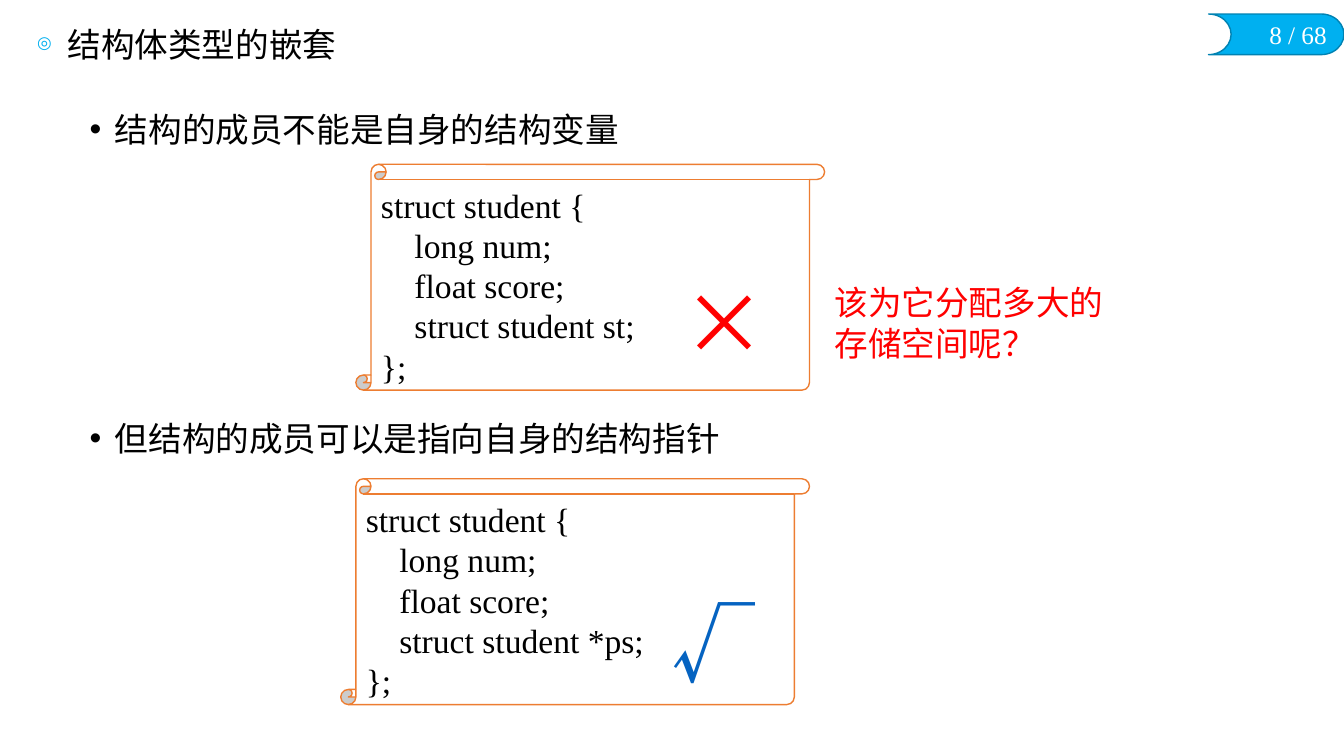
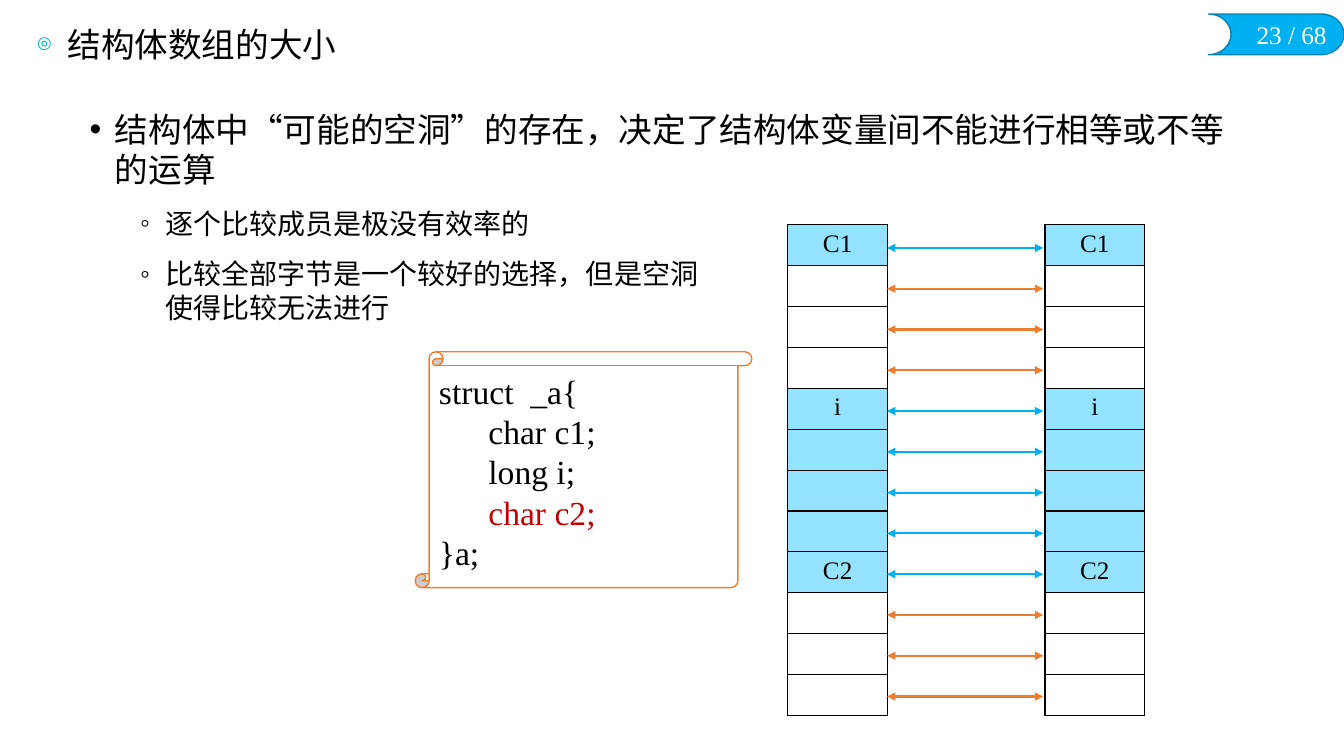
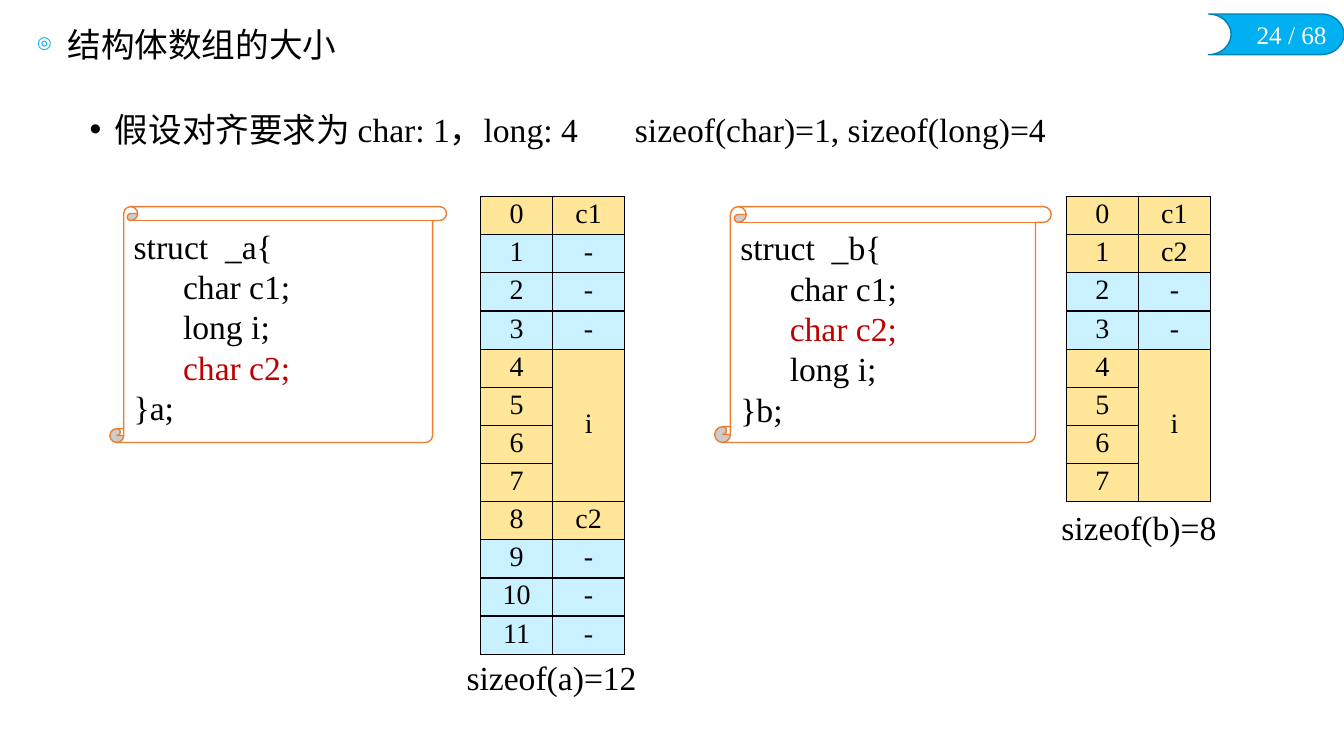
from lxml import etree
from pptx import Presentation
from pptx.dml.color import RGBColor
from pptx.enum import shapes, text
from pptx.oxml import ns
from pptx.util import Pt

# Palette and fonts
BLACK = RGBColor(0x00, 0x00, 0x00)
WHITE = RGBColor(0xFF, 0xFF, 0xFF)
RED = RGBColor(0xFF, 0x00, 0x00)
CRIMSON = RGBColor(0xC0, 0x00, 0x00)
BLUE = RGBColor(0x00, 0xB0, 0xF0)
NAVY = RGBColor(0x00, 0x82, 0xB2)
LINK = RGBColor(0x05, 0x63, 0xC1)
ORANGE = RGBColor(0xED, 0x7D, 0x31)
SKY = RGBColor(0x93, 0xE2, 0xFF)
PALE = RGBColor(0xC9, 0xF1, 0xFF)
SAND = RGBColor(0xFF, 0xE6, 0x99)
SERIF = "Times New Roman"
SANS = "Noto Sans CJK SC"
PAGES = 68
LEAD = 1.2  # line pitch per point of text size


# XML helpers
def sub(node, tag, **attrs):
    child = etree.SubElement(node, ns.qn(tag))
    for key, val in attrs.items():
        child.set(key, str(val))
    return child


def bullet(para, char, left, hang, color=None, size=None):
    props = para._p.get_or_add_pPr()
    props.set("marL", str(Pt(left)))
    props.set("indent", str(Pt(-hang)))
    if color is not None:
        sub(sub(props, "a:buClr"), "a:srgbClr", val=color)
    if size:
        sub(props, "a:buSzPct", val=size * 1000)
    sub(props, "a:buChar", char=char)


def style(para, size, color=BLACK, face=SERIF):
    font = para.font
    font.size, font.name, font.color.rgb = Pt(size), face, color
    sub(para._p.pPr.find(ns.qn("a:defRPr")), "a:ea", typeface=SANS)


# Shared frame: title, page badge
def set_up(layout):
    boxes = ((19.4, 16.6, 458.6, 33.1), (56.9, 74.2, 843.1, 437))
    for holder, box in zip(layout.placeholders, boxes):
        holder.left, holder.top, holder.width, holder.height = map(Pt, box)


def new_slide(deck, page, title):
    slide = deck.slides.add_slide(deck.slide_layouts[1])
    badge = slide.shapes.add_shape(
        shapes.MSO_SHAPE.FLOWCHART_STORED_DATA,
        Pt(863.3), Pt(10), Pt(96.7), Pt(29))
    badge.element.spPr.find(ns.qn("a:xfrm")).set("flipH", "1")
    paint(badge, BLUE, NAVY)
    label(slide, f"{page} / {PAGES}", (886.3, 10, 68.4, 29), 18, WHITE,
          align=text.PP_ALIGN.RIGHT)

    frame = slide.shapes.title.text_frame
    frame.auto_size = text.MSO_AUTO_SIZE.NONE
    frame.vertical_anchor = text.MSO_ANCHOR.MIDDLE
    para = frame.paragraphs[0]
    para.text = title
    para.alignment = text.PP_ALIGN.LEFT
    para.line_spacing = 0.9
    bullet(para, "◎", 21.6, 21.6, BLUE, 50)
    style(para, 24)
    return slide


# Element kinds
def paint(shape, fill, line):
    shape.shadow.inherit = False
    shape.fill.solid()
    shape.fill.fore_color.rgb = fill
    shape.line.color.rgb = line
    shape.line.width = Pt(1)


def body(slide, items):
    """Each item is (level, words, space before)."""
    frame = slide.placeholders[1].text_frame
    frame.auto_size = text.MSO_AUTO_SIZE.NONE
    for i, (level, words, gap) in enumerate(items):
        para = frame.add_paragraph() if i else frame.paragraphs[0]
        size = (24, 20)[level]
        para.text, para.level = words, level
        para.line_spacing = Pt(size * LEAD)
        para.space_before, para.space_after = Pt(gap), Pt(6)
        bullet(para, "•◦"[level], 18 + 36 * level, 18)
        style(para, size)


def label(slide, words, box, size=24, color=BLACK, face=SERIF, wrap=False,
          align=text.PP_ALIGN.LEFT):
    frame = slide.shapes.add_textbox(*map(Pt, box)).text_frame
    frame.word_wrap = wrap
    para = frame.paragraphs[0]
    para.text, para.alignment = words, align
    if face == SANS:
        para.line_spacing = Pt(size * LEAD)
    style(para, size, color, face)


def scroll(slide, code, box, bend, red=None):
    shape = slide.shapes.add_shape(
        shapes.MSO_SHAPE.VERTICAL_SCROLL, *map(Pt, box))
    shape.adjustments[0] = bend
    paint(shape, WHITE, ORANGE)
    frame = shape.text_frame
    frame.vertical_anchor = text.MSO_ANCHOR.TOP
    for i, line in enumerate(code.split("\n")):
        para = frame.add_paragraph() if i else frame.paragraphs[0]
        para.text, para.alignment = line, text.PP_ALIGN.LEFT
        para.line_spacing = Pt(24 * LEAD)
        sub(sub(para._p.get_or_add_pPr(), "a:tabLst"), "a:tab",
            pos=Pt(35.3), algn="l")
        style(para, 24, CRIMSON if line.strip() == red else BLACK)


def edge(cell):
    props = cell._tc.get_or_add_tcPr()
    for i, side in enumerate("LRTB"):
        line = etree.Element(ns.qn(f"a:ln{side}"), w=str(Pt(1)))
        sub(sub(line, "a:solidFill"), "a:srgbClr", val=BLACK)
        props.insert(i, line)


def grid(slide, rows, fills, spot, wide, high, size, tight=False):
    count = len(rows[0])
    table = slide.shapes.add_table(
        len(rows), count, *map(Pt, spot),
        Pt(wide * count), Pt(high * len(rows))).table
    table.first_row = table.horz_banding = False
    for col in table.columns:
        col.width = Pt(wide)
    for r, (row, fill) in enumerate(zip(rows, fills)):
        table.rows[r].height = Pt(high)
        for c, words in enumerate(row):
            cell = table.cell(r, c)
            cell.fill.solid()
            cell.fill.fore_color.rgb = fill
            edge(cell)
            para = cell.text_frame.paragraphs[0]
            para.text, para.alignment = words, text.PP_ALIGN.CENTER
            if tight:
                cell.vertical_anchor = text.MSO_ANCHOR.MIDDLE
                para.line_spacing = Pt(size)
            style(para, size)
    return table


def bytemap(slide, names, spot):
    """Numbered bytes; the long member fills bytes 4 to 7."""
    rows = [(str(i), name) for i, name in enumerate(names)]
    fills = [PALE if name == "-" else SAND for name in names]
    table = grid(slide, rows, fills, spot, 51.4, 27.2, 20, True)
    table.cell(4, 1).merge(table.cell(7, 1))


def arrow(slide, left, right, y, color):
    line = slide.shapes.add_connector(
        shapes.MSO_CONNECTOR.STRAIGHT, Pt(left), Pt(y), Pt(right), Pt(y))
    line.line.color.rgb = color
    line.line.width = Pt(1.5)
    stroke = line.line._get_or_add_ln()
    for end in ("a:headEnd", "a:tailEnd"):
        sub(stroke, end, type="triangle")
    sub(line.element.spPr, "a:effectLst")


# Slides
NEST = """struct student {{
    long num;
    float score;
    struct student {};
}};"""
CODE_A = "struct  _a{\n\tchar c1;\n\tlong i;\n\tchar c2;\n}a;"
CODE_B = "struct  _b{\n\tchar c1;\n\tchar c2;\n\tlong i;\n}b;"


def nesting(deck):
    slide = new_slide(deck, 8, "结构体类型的嵌套")
    body(slide, [(0, "结构的成员不能是自身的结构变量", 0),
                 (0, "但结构的成员可以是指向自身的结构指针", 186)])
    scroll(slide, NEST.format("st"), (254.2, 117.4, 334.8, 161.3), 0.067)
    label(slide, "×", (480.2, 190, 59.8, 80), 60, RED, SANS)
    scroll(slide, NEST.format("*ps"), (243.4, 342, 334.8, 161.3), 0.067)
    label(slide, "√", (472.3, 419.8, 74.9, 79.2), 60, LINK, SANS)
    label(slide, "该为它分配多大的存储空间呢？", (589, 198, 210.2, 65.5),
          24, RED, SANS, True)


def holes(deck):
    slide = new_slide(deck, 23, "结构体数组的大小")
    body(slide, [
        (0, "结构体中“可能的空洞”的存在，决定了结构体变量间不能进行相等或不等的运算", 0),
        (1, "逐个比较成员是极没有效率的", 6),
        (1, "比较全部字节是一个较好的选择，但是空洞\n使得比较无法进行", 6)])
    scroll(slide, CODE_A, (296.6, 251.3, 240.5, 168.5), 0.059, "char c2;")
    marks = {0: "C1", 4: "i", 8: "C2"}
    rows = [(marks.get(i, ""),) for i in range(12)]
    used = [i in (0, 4, 5, 6, 7, 8) for i in range(12)]
    fills = [SKY if full else WHITE for full in used]
    for left in (562.7, 746.4):
        grid(slide, rows, fills, (left, 160.6), 71.3, 29.22, 18)
    for i, full in enumerate(used):
        arrow(slide, 633.6, 745.2, 177.1 + 29.13 * i,
              BLUE if full else ORANGE)


def sizes(deck):
    slide = new_slide(deck, 24, "结构体数组的大小")
    body(slide, [(0, "假设对齐要求为 char: 1，long: 4", 0)])
    scroll(slide, CODE_A, (78.5, 147.6, 240.5, 168.5), 0.059, "char c2;")
    scroll(slide, CODE_B, (510.5, 147.6, 240.5, 168.5), 0.067, "char c2;")
    label(slide, "sizeof(char)=1, sizeof(long)=4", (446.4, 74.2, 311, 36))
    long = ["i", "", "", ""]
    bytemap(slide, ["c1", "-", "-", "-", *long, "c2", "-", "-", "-"],
            (343.4, 140.4))
    bytemap(slide, ["c1", "c2", "-", "-", *long], (761.8, 140.4))
    label(slide, "sizeof(a)=12", (326.2, 465.8, 136.8, 36))
    label(slide, "sizeof(b)=8", (751, 358.6, 126.7, 36))


def main():
    deck = Presentation()
    deck.slide_width, deck.slide_height = Pt(960), Pt(540)
    set_up(deck.slide_layouts[1])
    for build in (nesting, holes, sizes):
        build(deck)
    deck.save("out.pptx")


if __name__ == "__main__":
    main()
